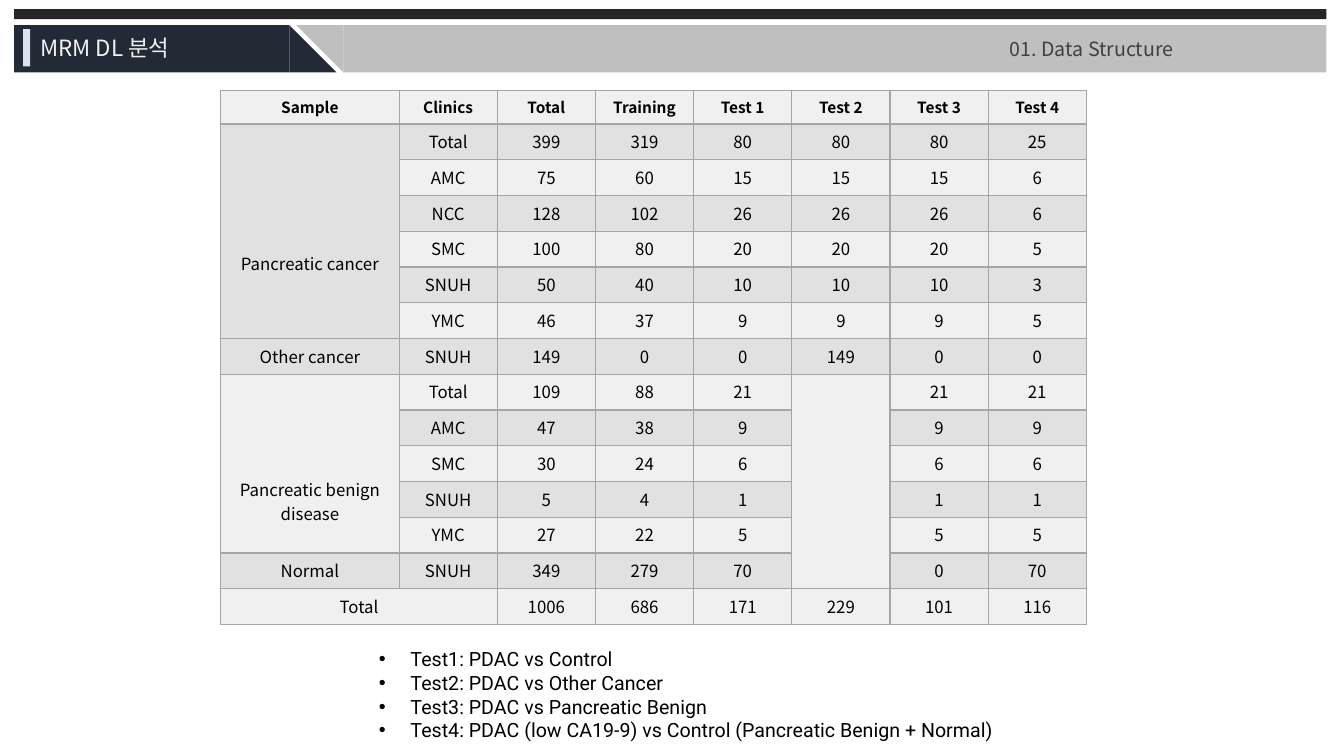
"""Build the slide on the data structure of the MRM deep learning study."""
from lxml import etree
from pptx import Presentation
from pptx import util as u
from pptx.dml import color
from pptx.enum import shapes, text
from pptx.oxml import ns

RGB = color.RGBColor
INK = RGB(0x26, 0x26, 0x26)
NAVY = RGB(0x22, 0x2A, 0x35)
SILVER = RGB(0xBF, 0xBF, 0xBF)
ICE = RGB(0xDA, 0xE3, 0xF3)
PALE = RGB(0xF2, 0xF2, 0xF2)
GREY = RGB(0x40, 0x40, 0x40)
BLACK = RGB(0, 0, 0)
LIGHT = RGB(0xF0, 0xF0, 0xF0)
DARK = RGB(0xE1, 0xE1, 0xE1)
EDGE = RGB(0xA5, 0xA5, 0xA5)
NOTO = "Noto Sans CJK KR"
LEFT, MID = text.PP_ALIGN.LEFT, text.PP_ALIGN.CENTER


def style(para, align, face, size, tint, bold=False):
    para.alignment = align
    para.space_before = u.Pt(0)
    form = {"name": face, "size": u.Pt(size), "bold": bold}
    for run in para.runs:
        for key, value in form.items():
            setattr(run.font, key, value)
        run.font.color.rgb = tint
        etree.SubElement(run.font._element, ns.qn("a:ea"), typeface=face)


def place(box, left, top, width, height):
    spot = {"left": left, "top": top, "width": width, "height": height}
    for key, value in spot.items():
        setattr(box, key, u.Pt(value))


prs = Presentation()
prs.slide_width, prs.slide_height = u.Pt(960), u.Pt(540)
slide = prs.slides.add_slide(prs.slide_layouts[1])
tree = slide.shapes
title, notes = tree.title, slide.placeholders[1]

RECT, TRI = shapes.MSO_SHAPE.RECTANGLE, shapes.MSO_SHAPE.RIGHT_TRIANGLE
bars = [
    (RECT, 10.1, 6.5, 937.4, 7.2, INK, 0),
    (RECT, 10.1, 18, 196.6, 33.8, NAVY, 0),
    (TRI, 206.7, 18, 33.8, 33.8, NAVY, 0),
    (RECT, 245.5, 18, 702, 33.8, SILVER, 0),
    (TRI, 211.7, 18, 33.8, 33.8, SILVER, 180),
    (RECT, 16.6, 20.9, 5, 26.6, ICE, 0),
]
for kind, left, top, width, height, tint, turn in bars:
    bar = tree.add_shape(kind, *map(u.Pt, (left, top, width, height)))
    bar.shadow.inherit = False
    bar.fill.solid()
    bar.fill.fore_color.rgb = tint
    bar.line.fill.background()
    bar.rotation = turn

rows = [
    "Sample|Clinics|Total|Training|Test 1|Test 2|Test 3|Test 4",
    "Pancreatic cancer|Total|399|319|80|80|80|25",
    "|AMC|75|60|15|15|15|6",
    "|NCC|128|102|26|26|26|6",
    "|SMC|100|80|20|20|20|5",
    "|SNUH|50|40|10|10|10|3",
    "|YMC|46|37|9|9|9|5",
    "Other cancer|SNUH|149|0|0|149|0|0",
    "Pancreatic benign\ndisease|Total|109|88|21||21|21",
    "|AMC|47|38|9||9|9",
    "|SMC|30|24|6||6|6",
    "|SNUH|5|4|1||1|1",
    "|YMC|27|22|5||5|5",
    "Normal|SNUH|349|279|70||0|70",
    "Total||1006|686|171|229|101|116",
]
frame = tree.add_table(len(rows), 8, u.Pt(157.7), u.Pt(64.8), u.Pt(618.5), u.Pt(381.6))
grid = frame.table
for col, column in enumerate(grid.columns):
    column.width = u.Pt(70.15 if col else 127.4)
for row, line in enumerate(rows):
    grid.rows[row].height = u.Pt(25.56 if row else 23.76)
    for col, word in enumerate(line.split("|")):
        cell = grid.cell(row, col)
        cell.text = word
        for para in cell.text_frame.paragraphs:
            style(para, MID, NOTO, 12 if row else 11, BLACK, row == 0)
            para._p.get_or_add_endParaRPr().set("sz", "1200")
        props = cell._tc.get_or_add_tcPr()
        for side in ("lnL", "lnR", "lnT", "lnB"):
            rule = etree.SubElement(props, ns.qn("a:" + side), w=str(u.Pt(1)))
            fill = etree.SubElement(rule, ns.qn("a:solidFill"))
            etree.SubElement(fill, ns.qn("a:srgbClr"), val=str(EDGE))
        cell.fill.solid()
        cell.fill.fore_color.rgb = DARK if row % 2 else LIGHT

spans = [(1, 0, 6, 0), (8, 0, 12, 0), (8, 5, 13, 5), (14, 0, 14, 1)]
for top, left, end, right in spans:
    grid.cell(top, left).merge(grid.cell(end, right))
grid.cell(1, 0).margin_top = u.Pt(90.5)
grid.cell(8, 0).margin_top = u.Pt(73.1)

place(title, 21.6, 20.9, 143.3, 26.6)
title.text = "MRM DL 분석"
place(notes, 263.5, 458.6, 480.2, 74.9)
notes.text = "\n".join([
    "Test1: PDAC vs Control",
    "Test2: PDAC vs Other Cancer",
    "Test3: PDAC vs Pancreatic Benign",
    "Test4: PDAC (low CA19-9) vs Control (Pancreatic Benign + Normal)",
])
topic = tree.add_textbox(u.Pt(714.2), u.Pt(22.3), u.Pt(257), u.Pt(24.5))
topic.text_frame.text = "01. Data Structure"

labels = [(title, NOTO, 16, PALE), (notes, "Roboto", 14, BLACK), (topic, NOTO, 14, GREY)]
for box, face, size, tint in labels:
    body = box.text_frame
    body.word_wrap = True
    body.auto_size = text.MSO_AUTO_SIZE.NONE
    body.vertical_anchor = text.MSO_ANCHOR.MIDDLE
    for para in body.paragraphs:
        if box is notes:
            props = para._p.get_or_add_pPr()
            props.set("marL", str(u.Pt(22.5)))
            props.set("indent", str(u.Pt(-22.5)))
            etree.SubElement(props, ns.qn("a:buFont"), typeface="Arial")
            etree.SubElement(props, ns.qn("a:buChar"), char="•")
        style(para, LEFT, face, size, tint)
    tree._spTree.append(box._element)

prs.save("out.pptx")
